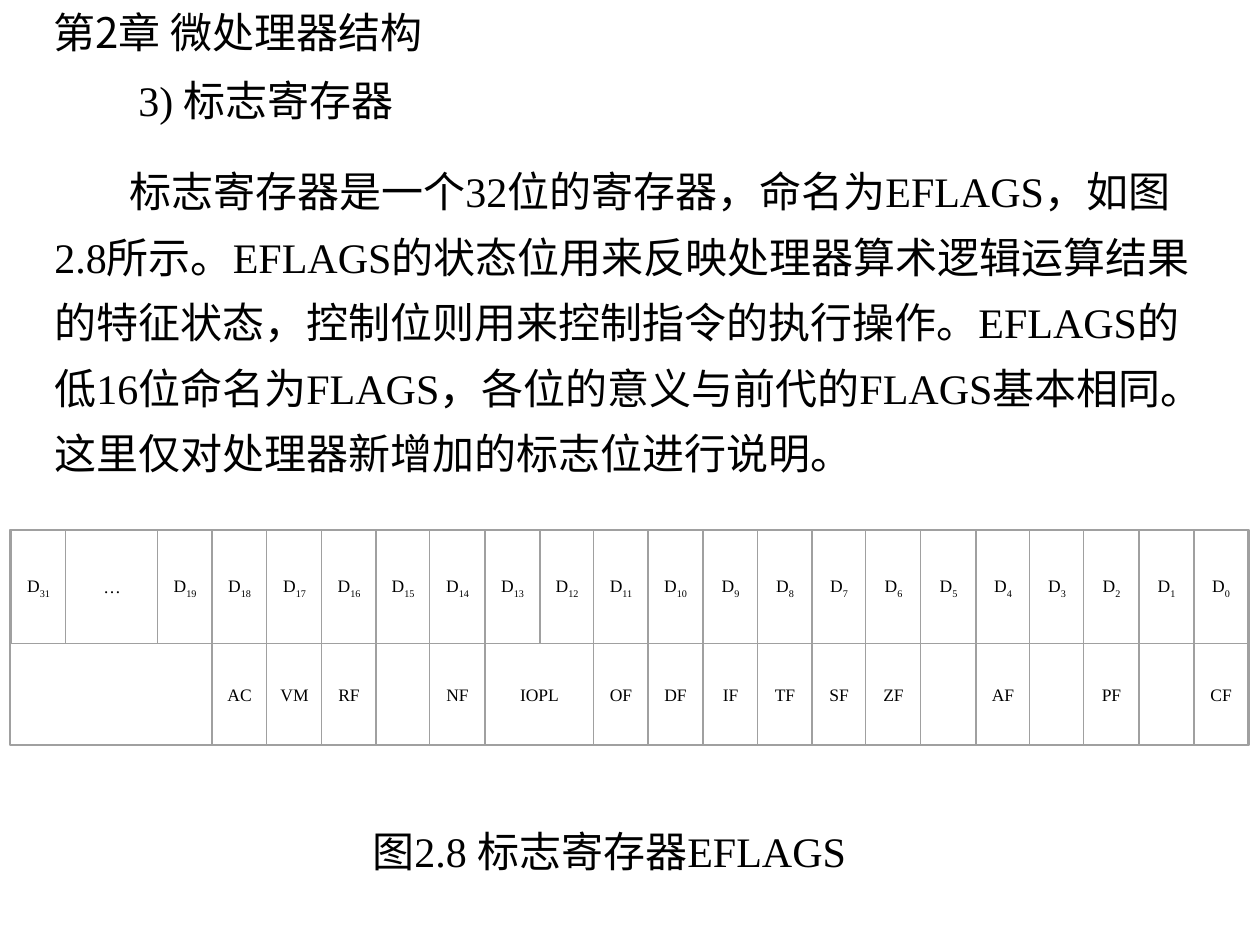
import pptx
import pptx.dml.color
import pptx.enum.shapes
import pptx.enum.text
import pptx.oxml
import pptx.oxml.ns
import pptx.util

EMU_PER_PX = 914400 / 126
ALIGN = pptx.enum.text.PP_ALIGN
SERIF, SANS = "Times New Roman", "Noto Sans CJK SC"
HAIRLINE = 0.01


def px(length):
    return pptx.util.Emu(round(length * EMU_PER_PX))


def color(hex_string):
    return pptx.dml.color.RGBColor.from_string(hex_string)


def write(paragraph, text, size=24, font=SERIF, ink="000000", subscript=False):
    """Append a formatted run to the paragraph."""
    run = paragraph.add_run()
    run.text = text
    run.font.size = pptx.util.Pt(size)
    run.font.color.rgb = color(ink)
    run.font.name = font
    properties = run.font._element
    east_asian = pptx.oxml.parse_xml(
        f'<a:ea {pptx.oxml.ns.nsdecls("a")} typeface="{SANS}"/>')
    properties.find(pptx.oxml.ns.qn("a:latin")).addnext(east_asian)
    if subscript:
        properties.set("baseline", "-30000")


class RegisterSlide:
    """Holds the slide and the style of its register diagram."""

    line_color = "A0A0A0"
    cell_size = 10

    def __init__(self, presentation):
        self.slide = presentation.slides.add_slide(presentation.slide_layouts[6])

    def text(self, left, top, width, height, paragraphs, font=SERIF, wrap=False,
             line_spacing=None, gap=0):
        """Add a text box; paragraphs are pairs of text and first-line indent."""
        box = self.slide.shapes.add_textbox(px(left), px(top), px(width), px(height))
        frame = box.text_frame
        frame.word_wrap = wrap
        for index, (words, indent) in enumerate(paragraphs):
            paragraph = frame.add_paragraph() if index else frame.paragraphs[0]
            if indent:
                paragraph._p.get_or_add_pPr().set("indent", str(px(indent)))
            if line_spacing:
                paragraph.line_spacing = line_spacing
            if index:
                paragraph.space_before = pptx.util.Pt(gap)
            write(paragraph, words, font=font)

    def box(self, left, top, width, height, line_width=HAIRLINE):
        shape = self.slide.shapes.add_shape(
            pptx.enum.shapes.MSO_SHAPE.RECTANGLE,
            px(left), px(top), px(width), px(height))
        shape.shadow.inherit = False
        shape.fill.background()
        shape.line.color.rgb = color(self.line_color)
        shape.line.width = pptx.util.Pt(line_width)
        return shape

    def cell(self, left, top, width, height, label="", bit=""):
        """Add a register cell whose label may carry a bit number as subscript."""
        frame = self.box(left, top, width, height).text_frame
        frame.margin_left = frame.margin_right = 0
        frame.vertical_anchor = pptx.enum.text.MSO_ANCHOR.MIDDLE
        paragraph = frame.paragraphs[0]
        paragraph.alignment = ALIGN.CENTER
        if label:
            write(paragraph, label, size=self.cell_size)
        if bit:
            write(paragraph, bit, size=self.cell_size, subscript=True)


def main():
    presentation = pptx.Presentation()
    presentation.slide_width, presentation.slide_height = px(1260), px(945)
    page = RegisterSlide(presentation)

    page.text(41, 0, 423, 63, [("第2章 微处理器结构", 0)], font=SANS)
    page.text(42, 53, 1187, 432, [
        ("3) 标志寄存器", 84),
        ("标志寄存器是一个32位的寄存器，命名为EFLAGS，如图2.8所示。"
         "EFLAGS的状态位用来反映处理器算术逻辑运算结果的特征状态，"
         "控制位则用来控制指令的执行操作。EFLAGS的低16位命名为FLAGS，"
         "各位的意义与前代的FLAGS基本相同。"
         "这里仅对处理器新增加的标志位进行说明。", 75),
    ], wrap=True, line_spacing=1.3, gap=15)
    page.text(360, 819, 539, 63, [("图2.8 标志寄存器EFLAGS", 0)])

    register_left, register_right = 11, 1248
    bits_top, bits_height = 530, 114
    flags_top, flags_height = bits_top + bits_height, 101
    ellipsis_left, bit_19_left = 66, 158

    def bit_left(bit):
        return round(bit_19_left + (19 - bit) * (register_right - bit_19_left) / 20)

    page.cell(register_left, bits_top, ellipsis_left - register_left, bits_height,
              "D", "31")
    page.cell(ellipsis_left, bits_top, bit_19_left - ellipsis_left, bits_height, "…")
    for bit in range(19, -1, -1):
        left = bit_left(bit)
        page.cell(left, bits_top, bit_left(bit - 1) - left, bits_height, "D", str(bit))

    page.cell(register_left, flags_top, bit_left(18) - register_left, flags_height)
    flags = ["AC", "VM", "RF", "", "NF", "IOPL", "OF", "DF", "IF", "TF",
             "SF", "ZF", "", "AF", "", "PF", "", "CF"]
    bit = 18
    for flag in flags:
        next_bit = bit - (2 if flag == "IOPL" else 1)
        left = bit_left(bit)
        page.cell(left, flags_top, bit_left(next_bit) - left, flags_height, flag)
        bit = next_bit
    page.box(register_left - 1, bits_top, register_right - register_left + 2,
             bits_height + flags_height, line_width=0.75)

    presentation.save("out.pptx")


if __name__ == "__main__":
    main()
